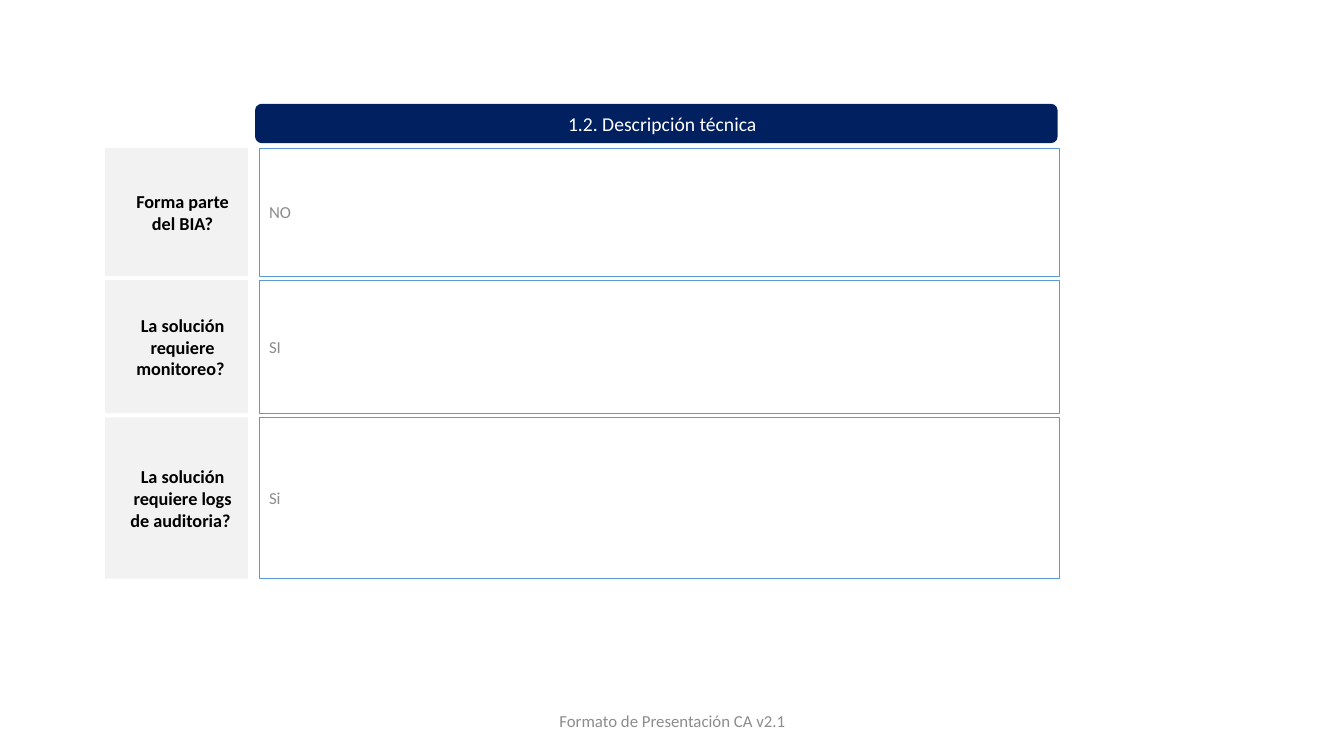
"""Build the technical description slide: a heading bar, question rows and a footer."""
from pptx import Presentation
from pptx.dml.color import RGBColor
from pptx.enum.shapes import MSO_SHAPE
from pptx.enum.text import MSO_ANCHOR, MSO_AUTO_SIZE, PP_ALIGN
from pptx.util import Inches, Pt

RECTANGLE, ROUNDED = MSO_SHAPE.RECTANGLE, MSO_SHAPE.ROUNDED_RECTANGLE
LEFT, CENTER = PP_ALIGN.LEFT, PP_ALIGN.CENTER
MIDDLE, NO_FIT = MSO_ANCHOR.MIDDLE, MSO_AUTO_SIZE.NONE

HEADING = "1.2. Descripción técnica"
FOOTER = "Formato de Presentación CA v2.1"
ROWS = [
    ("Forma parte del BIA?", "NO", 1.27),
    ("La solución requiere monitoreo? ", "SI", 1.32),
    ("La solución requiere logs de auditoria? ", "Si", 1.6),
]
COLORS = {
    "navy": "002060", "white": "FFFFFF", "panel": "F2F2F2",
    "border": "5B9BD5", "black": "000000", "gray": "8C8C8C",
}
FONT = "Calibri"
BAR = (2.53, 1.03, 7.96, 0.39)
FOOTER_AREA = (4.42, 6.95, 4.5, 0.4)
QUESTION_LEFT, QUESTION_WIDTH = 1.04, 1.42
ANSWER_LEFT, ANSWER_WIDTH = 2.57, 7.94
FIRST_TOP, ROW_GAP = 1.47, 0.04
QUESTION_INDENT = 0.12
CELL_INSETS = (0.1, 0.1, 0.1, 0.1)

HEADING_STYLE = {"size": Pt(14), "bold": False, "name": FONT}
QUESTION_STYLE = {"size": Pt(13), "bold": True, "name": FONT}
GRAY_STYLE = {"size": Pt(12), "bold": False, "name": FONT}


def rgb(name):
    return RGBColor.from_string(COLORS[name])


def place(box, area):
    for side, length in zip(("left", "top", "width", "height"), area):
        setattr(box, side, Inches(length))


def add_panel(page, kind, area, fill, line=None):
    box = page.shapes.add_shape(kind, *map(Inches, area))
    box.shadow.inherit = False
    box.fill.solid()
    box.fill.fore_color.rgb = rgb(fill)
    if line:
        box.line.color.rgb = rgb(line)
        box.line.width = Pt(0.5)
    else:
        box.line.fill.background()
    return box


def write(box, text, style, color, align, insets):
    frame = box.text_frame
    settings = {"word_wrap": True, "auto_size": NO_FIT, "vertical_anchor": MIDDLE}
    for key, value in settings.items():
        setattr(frame, key, value)
    for side, inset in zip(("left", "top", "right", "bottom"), insets):
        setattr(frame, f"margin_{side}", Inches(inset))
    para = frame.paragraphs[0]
    para.alignment = align
    span = para.add_run()
    span.text = text
    for key, value in style.items():
        setattr(span.font, key, value)
    span.font.color.rgb = rgb(color)
    return para


def add_rows(page):
    top = FIRST_TOP
    for question, answer, height in ROWS:
        area = (QUESTION_LEFT, top, QUESTION_WIDTH, height)
        box = add_panel(page, RECTANGLE, area, "panel")
        para = write(box, question, QUESTION_STYLE, "black", CENTER, CELL_INSETS)
        properties = para._p.get_or_add_pPr()
        properties.set("marL", str(Inches(QUESTION_INDENT)))
        properties.set("indent", "0")

        area = (ANSWER_LEFT, top, ANSWER_WIDTH, height)
        box = add_panel(page, RECTANGLE, area, "white", "border")
        write(box, answer, GRAY_STYLE, "gray", LEFT, CELL_INSETS)
        top += height + ROW_GAP


def main():
    deck = Presentation()
    deck.slide_width, deck.slide_height = Inches(13.33), Inches(7.5)
    page = deck.slides.add_slide(deck.slide_layouts[5])

    add_panel(page, ROUNDED, BAR, "navy")
    title = page.shapes.title
    page.shapes._spTree.append(title._element)
    place(title, BAR)
    write(title, HEADING, HEADING_STYLE, "white", CENTER, (0.12, 0, 0, 0))

    add_rows(page)

    footer = page.shapes.add_textbox(*map(Inches, FOOTER_AREA))
    write(footer, FOOTER, GRAY_STYLE, "gray", CENTER, (0.1, 0.05, 0.1, 0.05))
    deck.save("out.pptx")


if __name__ == "__main__":
    main()
